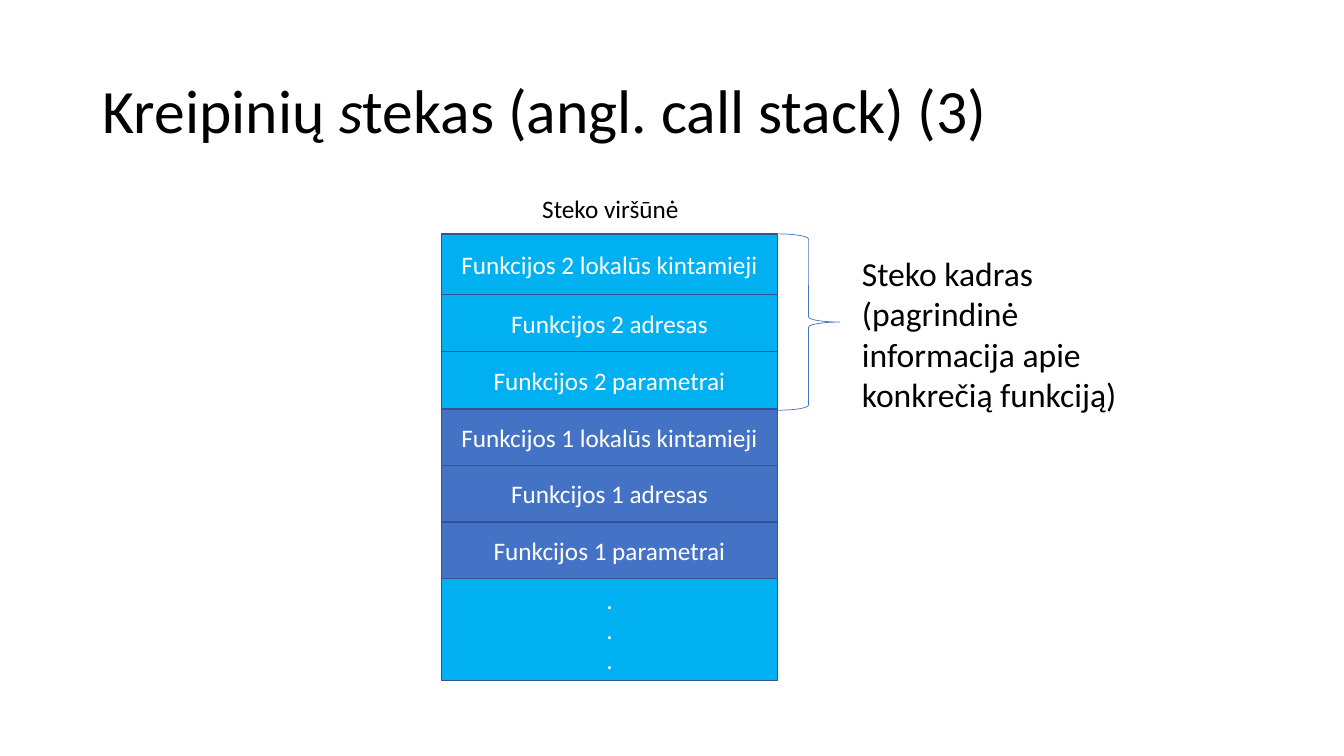
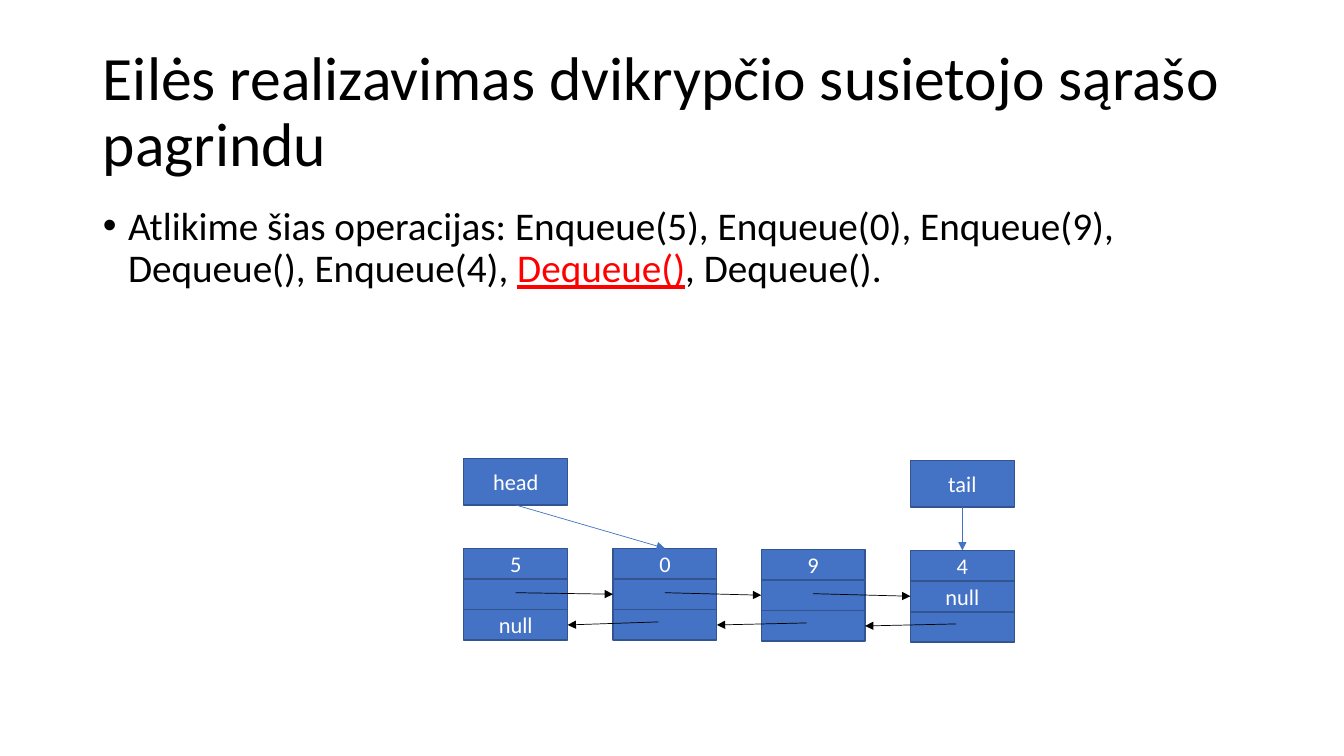
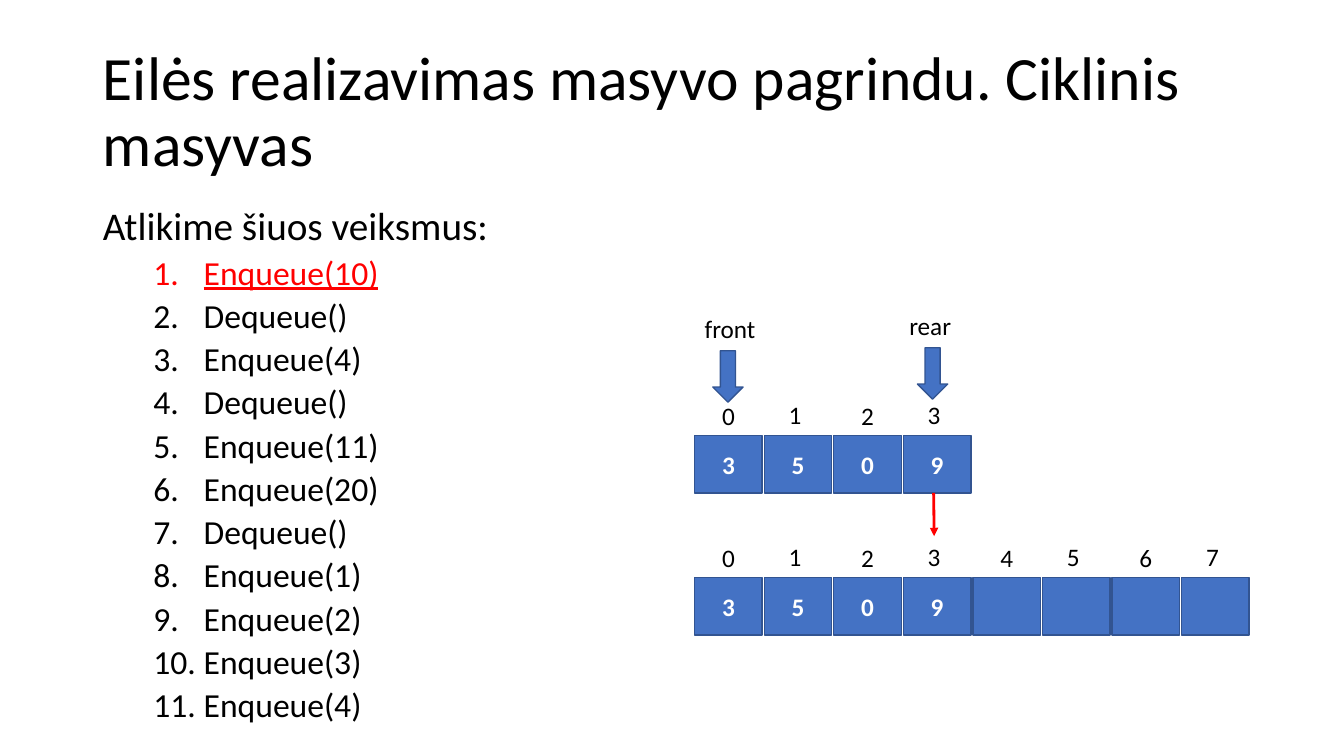
"""Build three slides on call stacks and queues."""
from dataclasses import dataclass
from itertools import pairwise

from lxml import etree
from pptx import Presentation
from pptx import util as u
from pptx.dml.color import RGBColor
from pptx.enum import shapes, text
from pptx.oxml import ns

COLORS = {
    "black": "000000",
    "white": "FFFFFF",
    "red": "FF0000",
    "blue": "4472C4",
    "edge": "325491",
    "sky": "00B0F0",
}
FONT = "Calibri"
LEFT, CENTER = text.PP_ALIGN.LEFT, text.PP_ALIGN.CENTER
TOP, MIDDLE = text.MSO_ANCHOR.TOP, text.MSO_ANCHOR.MIDDLE


@dataclass(frozen=True)
class Span:
    text: str
    color: str = "black"
    italic: bool = False
    underline: bool = False


@dataclass(frozen=True)
class Area:
    left: float
    top: float
    width: float
    height: float

    def lengths(self):
        return [u.Inches(n) for n in (self.left, self.top, self.width, self.height)]


@dataclass(frozen=True)
class Frame:
    label: str
    height: float
    color: str


@dataclass(frozen=True)
class Node:
    left: float
    top: float
    labels: tuple[str, str, str]


TITLE_AREA = Area(0.92, 0.4, 11.5, 1.45)


def rgb(name: str) -> RGBColor:
    return RGBColor.from_string(COLORS[name])


def add_spans(para, spans: list[Span], size: float, bold: bool = False) -> None:
    for part in spans:
        span = para.add_run()
        span.text = part.text
        font = span.font
        font.name, font.size, font.bold = FONT, u.Pt(size), bold
        font.italic, font.underline = part.italic, part.underline
        font.color.rgb = rgb(part.color)


def fill_text(box, label: str, size: float, color: str, align, anchor, bold: bool = False) -> None:
    frame = box.text_frame
    frame.word_wrap = True
    frame.vertical_anchor = anchor
    for index, line in enumerate(label.split("\n")):
        para = frame.add_paragraph() if index else frame.paragraphs[0]
        para.alignment = align
        add_spans(para, [Span(line, color)], size, bold)


def add_label(page, area: Area, label: str, size: float = 18, align=LEFT):
    box = page.shapes.add_textbox(*area.lengths())
    fill_text(box, label, size, "black", align, TOP)
    return box


def add_block(page, area: Area, label: str = "", size: float = 18, color: str = "blue",
              bold: bool = False, kind=shapes.MSO_SHAPE.RECTANGLE):
    box = page.shapes.add_shape(kind, *area.lengths())
    box.shadow.inherit = False
    box.fill.solid()
    box.fill.fore_color.rgb = rgb(color)
    box.line.color.rgb = rgb("edge")
    box.line.width = u.Pt(1)
    if label:
        fill_text(box, label, size, "white", CENTER, MIDDLE, bold)
    return box


def add_arrow(page, start: tuple[float, float], target, side: int, color: str, width: float = 0.5):
    x, y = (u.Inches(n) for n in start)
    arrow = page.shapes.add_connector(shapes.MSO_CONNECTOR.STRAIGHT, x, y, x, y)
    arrow.end_connect(target, side)
    arrow.line.color.rgb = rgb(color)
    arrow.line.width = u.Pt(width)
    properties = arrow.element.spPr
    etree.SubElement(properties.find(ns.qn("a:ln")), ns.qn("a:tailEnd"), type="triangle")
    etree.SubElement(properties, ns.qn("a:effectLst"))
    return arrow


def place(holder, area: Area) -> None:
    holder.left, holder.top, holder.width, holder.height = area.lengths()
    holder.text_frame.word_wrap = True
    holder.text_frame.auto_size = text.MSO_AUTO_SIZE.NONE


def add_page(deck, layout: int, title: list[Span]):
    page = deck.slides.add_slide(deck.slide_layouts[layout])
    holder = page.shapes.title
    place(holder, TITLE_AREA)
    holder.text_frame.vertical_anchor = MIDDLE
    para = holder.text_frame.paragraphs[0]
    para.alignment, para.line_spacing = LEFT, 0.9
    add_spans(para, title, 44)
    return page


def format_item(para, margin: float, indent: float, before: float, bullet: str,
                typeface: str = FONT, **attributes: str) -> None:
    para.line_spacing, para.space_before = 0.9, u.Pt(before)
    properties = para._p.get_or_add_pPr()
    properties.set("marL", str(u.Inches(margin)))
    properties.set("indent", str(u.Inches(indent)))
    etree.SubElement(properties, ns.qn("a:buFont"), typeface=typeface)
    etree.SubElement(properties, ns.qn(bullet), **attributes)


def build_call_stack(deck) -> None:
    page = add_page(deck, 5, [Span("Kreipinių "), Span("s", italic=True),
                              Span("tekas (angl. call stack) (3)")])
    frames = [
        Frame("Funkcijos 2 lokalūs kintamieji", 0.6, "sky"),
        Frame("Funkcijos 2 adresas", 0.57, "sky"),
        Frame("Funkcijos 2 parametrai", 0.57, "sky"),
        Frame("Funkcijos 1 lokalūs kintamieji", 0.56, "blue"),
        Frame("Funkcijos 1 adresas", 0.56, "blue"),
        Frame("Funkcijos 1 parametrai", 0.56, "blue"),
        Frame(".\n.\n.", 1.01, "sky"),
    ]
    left, top, width = 4.38, 2.32, 3.33
    frame_top = top
    for frame in frames:
        add_block(page, Area(left, frame_top, width, frame.height), frame.label, color=frame.color)
        frame_top += frame.height
    add_label(page, Area(5.28, 1.87, 1.86, 0.4), "Steko viršūnė")
    brace = page.shapes.add_shape(shapes.MSO_SHAPE.RIGHT_BRACE,
                                  *Area(left + width, top, 0.62, 1.75).lengths())
    brace.shadow.inherit = False
    brace.fill.background()
    brace.line.color.rgb = rgb("blue")
    brace.line.width = u.Pt(0.5)
    add_label(page, Area(8.45, 2.46, 3.01, 1.72),
              "Steko kadras (pagrindinė informacija apie konkrečią funkciją)", 24)


def build_linked_queue(deck) -> None:
    page = add_page(deck, 1, [Span("Eilės realizavimas dvikrypčio susietojo sąrašo pagrindu")])
    body = page.placeholders[1]
    place(body, Area(0.92, 2, 10.92, 2.6))
    para = body.text_frame.paragraphs[0]
    format_item(para, 0.25, -0.25, 0, "a:buChar", "Arial", char="•")
    add_spans(para, [
        Span("Atlikime šias operacijas: Enqueue(5), Enqueue(0), Enqueue(9), "
             "Dequeue(), Enqueue(4), "),
        Span("Dequeue()", "red", underline=True),
        Span(", Dequeue()."),
    ], 28)

    width, height, step = 1.03, 0.3, 0.305
    nodes = [
        Node(4.6, 5.44, ("5", "", "null")),
        Node(6.08, 5.44, ("0", "", "")),
        Node(7.55, 5.45, ("9", "", "")),
        Node(9.03, 5.46, ("4", "null", "")),
    ]
    cells = [
        [add_block(page, Area(node.left, node.top + row * step, width, height), label, 16)
         for row, label in enumerate(node.labels)]
        for node in nodes
    ]
    for (node, node_cells), (follower, follower_cells) in pairwise(zip(nodes, cells)):
        add_arrow(page, (node.left + width / 2, node.top + 0.44), follower_cells[1], 1, "black")
        add_arrow(page, (follower.left + 0.45, follower.top + 0.73), node_cells[2], 3, "black")

    for label, node, target in (("head", nodes[0], cells[1][0]), ("tail", nodes[3], cells[3][0])):
        top = node.top - 0.89
        pointer = add_block(page, Area(node.left, top, width, 0.46), label, 16)
        arrow = add_arrow(page, (node.left + width / 2, top + 0.46), target, 0, "blue")
        arrow.begin_connect(pointer, 2)


def add_array(page, top: float, values: list[str]) -> list:
    left, pitch, width = 6.89, 0.69, 0.67
    labels = []
    for index, value in enumerate(values):
        cell_left = left + index * pitch
        odd = index % 2
        add_block(page, Area(cell_left, top, width, 0.57), value, bold=True)
        area = Area(cell_left - 0.03 * odd, top - 0.4 - 0.01 * odd, width, 0.4)
        labels.append(add_label(page, area, str(index), align=CENTER))
    return labels


def build_circular_array(deck) -> None:
    page = add_page(deck, 1, [Span("Eilės realizavimas masyvo pagrindu. Ciklinis masyvas")])
    body = page.placeholders[1]
    place(body, Area(0.92, 2, 5.75, 5.33))
    heading = body.text_frame.paragraphs[0]
    format_item(heading, 0, 0, 0, "a:buNone")
    add_spans(heading, [Span("Atlikime šiuos veiksmus:")], 28)
    steps = ["Enqueue(10)", "Dequeue()", "Enqueue(4)", "Dequeue()", "Enqueue(11)", "Enqueue(20)",
             "Dequeue()", "Enqueue(1)", "Enqueue(2)", "Enqueue(3)", "Enqueue(4)"]
    for index, step in enumerate(steps):
        para = body.text_frame.add_paragraph()
        para.level = 1
        format_item(para, 1, -0.5, 5, "a:buAutoNum", type="arabicPeriod")
        current = index == 0
        add_spans(para, [Span(step, "red" if current else "black", underline=current)], 24)

    values = ["3", "5", "0", "9"]
    add_array(page, 4.32, values)
    for label, left, top in (("front", 6.89, 3.06), ("rear", 8.92, 3.03)):
        add_label(page, Area(left, top, 0.72, 0.4), label)
        add_block(page, Area(left + 0.18, top + 0.42, 0.3, 0.51),
                  kind=shapes.MSO_SHAPE.DOWN_ARROW)
    labels = add_array(page, 5.73, values + [""] * 4)
    add_arrow(page, (9.26, 4.89), labels[3], 0, "red", 2)


def main() -> None:
    deck = Presentation()
    deck.slide_width, deck.slide_height = u.Inches(13.33), u.Inches(7.5)
    build_call_stack(deck)
    build_linked_queue(deck)
    build_circular_array(deck)
    deck.save("out.pptx")


if __name__ == "__main__":
    main()
